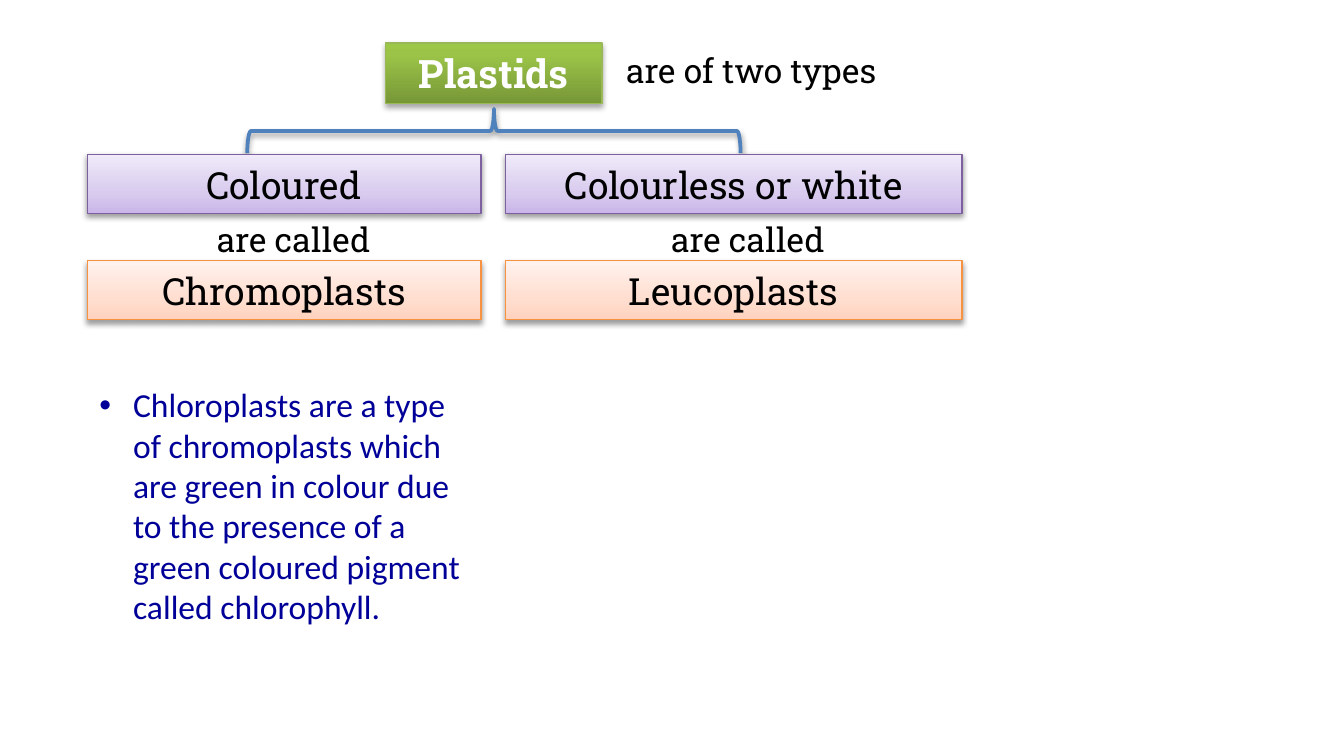
from dataclasses import dataclass
from lxml import etree
from pptx import Presentation
from pptx import util as u
from pptx.dml.color import RGBColor
from pptx.enum import shapes, text
from pptx.oxml import ns

TITLE = "Plastids"
TITLE_NOTE = "are of two types"
LINK = "are called"
COLUMNS = [
    {"left": 0.65, "width": 2.93, "link_left": 1.02, "kind": "Coloured", "name": "Chromoplasts"},
    {"left": 3.76, "width": 3.4, "link_left": 4.4, "kind": "Colourless or white", "name": "Leucoplasts"},
]
BODY = ("Chloroplasts are a type of chromoplasts which are green in colour due to "
        "the presence of a green coloured pigment called chlorophyll.")


@dataclass(frozen=True)
class Theme:
    slab: str = "Roboto Slab"
    sans: str = "Calibri"
    title_size: int = 21
    box_size: int = 20
    text_size: int = 18
    black: str = "000000"
    white: str = "FFFFFF"
    navy: str = "000099"
    blue: str = "4F81BD"
    green: tuple = ("98B955", [(0, "779737"), (80, "9BC348"), (100, "9DC746")])
    purple: tuple = ("7D60A0", [(0, "C9B5E8"), (35, "D8CBEE"), (100, "F0EAF9")])
    orange: tuple = ("F69240", [(0, "FFD2BD"), (35, "FFDED0"), (100, "FFF2ED")])


T = Theme()
SLIDE_W = 10
SLIDE_H = SLIDE_W * 9 / 16
TITLE_TOP, KIND_TOP, LINK_TOP, NAME_TOP = 0.32, 1.15, 1.58, 1.94
BOX_H, LABEL_W, LABEL_H = 0.44, 2.33, 0.4


def sub(parent, tag, **attrs):
    return etree.SubElement(parent, ns.qn(tag), {k: str(v) for k, v in attrs.items()})


def place(sp, left, top, width, height):
    sp.left, sp.top, sp.width, sp.height = map(u.Inches, (left, top, width, height))


def outline(sp, color, width):
    sp.line.color.rgb = RGBColor.from_string(color)
    sp.line.width = u.Pt(width)


def add_shadow(sp, distance=1.6, opacity=38):
    sp.shadow.inherit = False
    effects = sp._element.spPr.find(ns.qn("a:effectLst"))
    shadow = sub(effects, "a:outerShdw", blurRad=u.Pt(3.1), dist=u.Pt(distance),
                 dir=5400000, rotWithShape=0)
    sub(sub(shadow, "a:srgbClr", val=T.black), "a:alpha", val=opacity * 1000)


def paint(sp, style):
    line, stops = style
    sp.fill.gradient()
    sp.fill.gradient_angle = 90
    gs_list = sp._element.spPr.find(".//" + ns.qn("a:gsLst"))
    for gs in list(gs_list):
        gs_list.remove(gs)
    for pos, color in stops:
        sub(sub(gs_list, "a:gs", pos=pos * 1000), "a:srgbClr", val=color)
    outline(sp, line, 0.75)


def write(sp, words, size, font=T.slab, color=T.black, bold=False,
          align=text.PP_ALIGN.CENTER, anchor=text.MSO_ANCHOR.MIDDLE):
    tf = sp.text_frame
    tf.text = words
    tf.word_wrap = True
    tf.auto_size = text.MSO_AUTO_SIZE.NONE
    tf.vertical_anchor = anchor
    p = tf.paragraphs[0]
    p.alignment = align
    p.space_before = u.Pt(0)
    f = p.runs[0].font
    f.name, f.size, f.bold = font, u.Pt(size), bold
    f.color.rgb = RGBColor.from_string(color)
    return p


def add_box(s, col, top, words, style):
    sp = s.shapes.add_shape(shapes.MSO_SHAPE.RECTANGLE, 0, 0, 0, 0)
    place(sp, col["left"], top, col["width"], BOX_H)
    paint(sp, style)
    add_shadow(sp)
    write(sp, words, T.box_size)


def add_label(s, left, top, words, align):
    sp = s.shapes.add_textbox(0, 0, 0, 0)
    place(sp, left, top, LABEL_W, LABEL_H)
    write(sp, words, T.text_size, align=align, anchor=text.MSO_ANCHOR.TOP)


def add_brace(s):
    sp = s.shapes.add_shape(shapes.MSO_SHAPE.LEFT_BRACE, 0, 0, 0, 0)
    place(sp, 3.51, -0.86, 0.33, 3.67)
    sp.rotation = 90
    sp.fill.background()
    outline(sp, T.blue, 2)
    add_shadow(sp)


def main():
    prs = Presentation()
    prs.slide_width, prs.slide_height = u.Inches(SLIDE_W), u.Inches(SLIDE_H)
    s = prs.slides.add_slide(prs.slide_layouts[1])

    title, body = s.placeholders
    place(title, 2.87, TITLE_TOP, 1.61, 0.45)
    paint(title, T.green)
    add_shadow(title, 1.8, 35)
    write(title, TITLE, T.title_size, color=T.white, bold=True)
    add_label(s, 4.56, TITLE_TOP, TITLE_NOTE, text.PP_ALIGN.LEFT)

    add_brace(s)
    for col in COLUMNS:
        add_box(s, col, KIND_TOP, col["kind"], T.purple)
        add_label(s, col["link_left"], LINK_TOP, LINK, text.PP_ALIGN.CENTER)
        add_box(s, col, NAME_TOP, col["name"], T.orange)

    place(body, 0.64, 2.81, 3.03, 1.92)
    p = write(body, BODY, T.text_size, T.sans, T.navy,
              align=text.PP_ALIGN.LEFT, anchor=text.MSO_ANCHOR.TOP)
    pPr = p._p.get_or_add_pPr()
    pPr.set("marL", str(u.Inches(0.25)))
    pPr.set("indent", str(-u.Inches(0.25)))
    sub(pPr, "a:buFont", typeface="Arial")
    sub(pPr, "a:buChar", char="•")

    prs.save("out.pptx")


if __name__ == "__main__":
    main()
